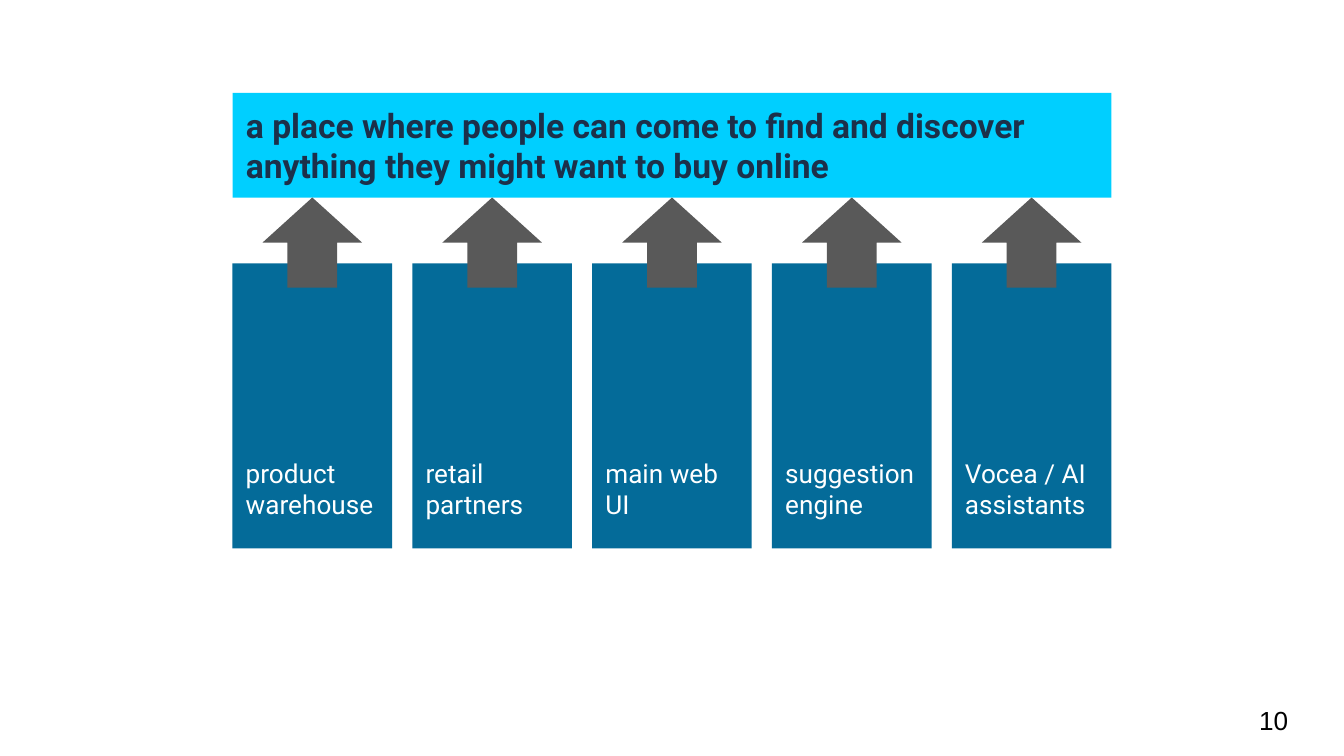
"""Build a slide where five pillars support one vision statement."""
import pptx
import pptx.dml.color
import pptx.enum.shapes
import pptx.enum.text
import pptx.util

Inches = pptx.util.Inches
RGBColor = pptx.dml.color.RGBColor
Shape = pptx.enum.shapes.MSO_SHAPE
Anchor = pptx.enum.text.MSO_ANCHOR

CYAN = RGBColor(0x00, 0xCF, 0xFF)
NAVY = RGBColor(0x1C, 0x30, 0x4A)
BLUE = RGBColor(0x04, 0x6B, 0x99)
GREY = RGBColor(0x59, 0x59, 0x59)
WHITE = RGBColor(0xFF, 0xFF, 0xFF)
BLACK = RGBColor(0x00, 0x00, 0x00)

LABELS = ["product warehouse", "retail partners", "main web UI",
          "suggestion engine", "Vocea / AI assistants"]
SLIDE_WIDTH = 10
SLIDE_HEIGHT = SLIDE_WIDTH * 9 / 16
LEFT, WIDTH, GAP = 1.73, 6.54, 0.15
COLUMN = (WIDTH - GAP * (len(LABELS) - 1)) / len(LABELS)
BANNER_TOP, BANNER_HEIGHT = 0.69, 0.78
PILLAR_TOP, PILLAR_HEIGHT = 1.96, 2.12
ARROW_WIDTH, ARROW_HEIGHT = 0.74, 0.67
lefts = [LEFT + index * (COLUMN + GAP) for index in range(len(LABELS))]


def write(box, text, size, font, color, anchor, bold=False):
    frame = box.text_frame
    frame.word_wrap = True
    frame.auto_size = pptx.enum.text.MSO_AUTO_SIZE.NONE
    frame.vertical_anchor = anchor
    frame.margin_left = frame.margin_right = Inches(0.1)
    frame.margin_top = frame.margin_bottom = Inches(0.1)
    para = frame.paragraphs[0]
    para.alignment = pptx.enum.text.PP_ALIGN.LEFT
    para.line_spacing = 1.0
    span = para.add_run()
    span.text = text
    span.font.size = pptx.util.Pt(size)
    span.font.name = font
    span.font.bold = bold
    span.font.color.rgb = color


def add_block(page, kind, left, top, width, height, color):
    block = page.shapes.add_shape(
        kind, Inches(left), Inches(top), Inches(width), Inches(height))
    block.shadow.inherit = False
    block.fill.solid()
    block.fill.fore_color.rgb = color
    block.line.fill.background()


deck = pptx.Presentation()
deck.slide_width, deck.slide_height = Inches(SLIDE_WIDTH), Inches(SLIDE_HEIGHT)
page = deck.slides.add_slide(deck.slide_layouts.get_by_name("Title Only"))

banner = page.shapes.title
banner.left, banner.top = Inches(LEFT), Inches(BANNER_TOP)
banner.width, banner.height = Inches(WIDTH), Inches(BANNER_HEIGHT)
banner.fill.solid()
banner.fill.fore_color.rgb = CYAN
write(banner, "a place where people can come to find and discover "
      "anything they might want to buy online",
      18, "Roboto", NAVY, Anchor.MIDDLE, bold=True)

number = page.shapes.add_textbox(
    Inches(9.27), Inches(5.21), Inches(0.6), Inches(0.29))
write(number, "10", 14, "Arial", BLACK, Anchor.MIDDLE)

for left in lefts:
    add_block(page, Shape.RECTANGLE, left, PILLAR_TOP,
              COLUMN, PILLAR_HEIGHT, BLUE)

for left in lefts:
    add_block(page, Shape.UP_ARROW, left + (COLUMN - ARROW_WIDTH) / 2,
              BANNER_TOP + BANNER_HEIGHT, ARROW_WIDTH, ARROW_HEIGHT, GREY)

for left, text in zip(lefts, LABELS):
    label = page.shapes.add_textbox(
        Inches(left), Inches(PILLAR_TOP + PILLAR_HEIGHT - BANNER_HEIGHT),
        Inches(COLUMN), Inches(BANNER_HEIGHT))
    write(label, text, 14, "Roboto", WHITE, Anchor.TOP)

deck.save("out.pptx")
